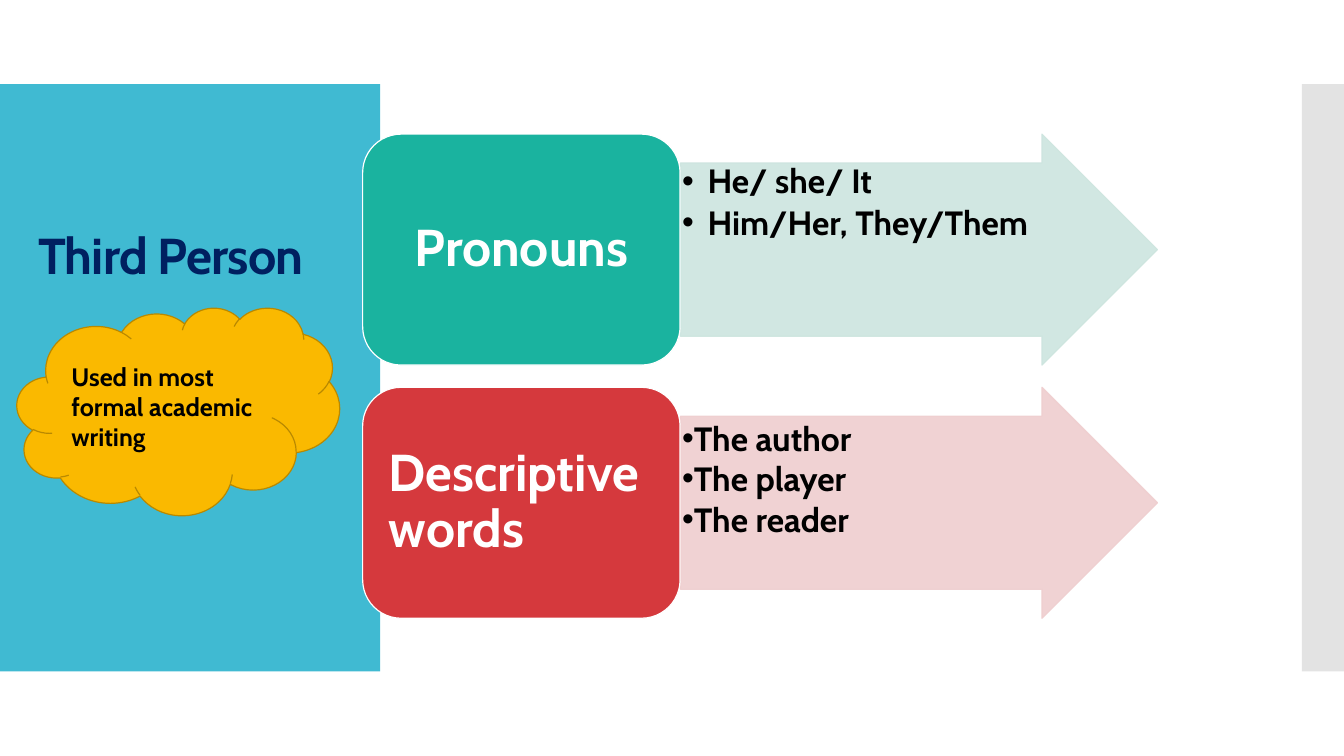
from dataclasses import dataclass

from lxml.etree import SubElement
from pptx import Presentation
from pptx.dml.color import RGBColor
from pptx.enum.shapes import MSO_SHAPE as Preset
from pptx.enum.text import MSO_ANCHOR as Anchor, MSO_AUTO_SIZE as AutoSize, PP_ALIGN as Align
from pptx.oxml import parse_xml
from pptx.oxml.ns import nsdecls, qn
from pptx.util import Cm, Pt


@dataclass(frozen=True)
class Theme:
    font: str = "Cabin"
    panel: str = "40BAD2"
    strip: str = "C8C8C8"
    title: str = "002060"
    light: str = "FFFFFF"
    dark: str = "000000"
    pronouns: str = "1AB39F"
    pronouns_tint: str = "CDE5DF"
    descriptive: str = "D5393D"
    descriptive_tint: str = "EFCECF"
    cloud: str = "FAB900"
    cloud_line: str = "B98900"
    title_size: int = 36
    label_size: int = 37
    list_size: int = 24
    cloud_size: int = 18
    line_width: float = 0.85


THEME = Theme()
ROW_TOP = 3.38
ROW_PITCH = 6.38
ROW_HEIGHT = 5.82


def set_opacity(color_format, percent):
    color = color_format._xFill.find(qn("a:srgbClr"))
    SubElement(color, qn("a:alpha"), val=str(percent * 1000))


def add_block(slide, preset, box, fill, line=None, opacity=100):
    shape = slide.shapes.add_shape(preset, *map(Cm, box))
    shape.shadow.inherit = False
    shape.fill.solid()
    shape.fill.fore_color.rgb = RGBColor.from_string(fill)
    formats = [shape.fill]
    if line:
        shape.line.color.rgb = RGBColor.from_string(line)
        shape.line.width = Pt(THEME.line_width)
        formats.append(shape.line.fill)
    else:
        shape.line.fill.background()
    if opacity < 100:
        for color_format in formats:
            set_opacity(color_format.fore_color, opacity)
    return shape


def write_text(shape, lines, size, color, align=Align.LEFT, anchor=Anchor.MIDDLE,
               insets=(0.25, 0.13), spacing=1.0, space_after=0):
    frame = shape.text_frame
    frame.text = "\n".join(lines)
    frame.word_wrap = True
    frame.auto_size = AutoSize.NONE
    frame.vertical_anchor = anchor
    frame.margin_left = frame.margin_right = Cm(insets[0])
    frame.margin_top = frame.margin_bottom = Cm(insets[1])
    for paragraph in frame.paragraphs:
        paragraph.alignment = align
        paragraph.line_spacing = spacing
        paragraph.space_before = Pt(0)
        paragraph.space_after = Pt(space_after)
        paragraph.font.name = THEME.font
        paragraph.font.size = Pt(size)
        paragraph.font.bold = True
        paragraph.font.color.rgb = RGBColor.from_string(color)
    return frame.paragraphs


def place(placeholder, box):
    placeholder.left, placeholder.top, placeholder.width, placeholder.height = map(Cm, box)
    placeholder.element.getparent().append(placeholder.element)


def set_bullet(paragraph, indent):
    properties = paragraph._p.get_or_add_pPr()
    properties.set("marL", str(Cm(indent)))
    properties.set("indent", str(-Cm(indent)))
    bullet = parse_xml(f'<a:buChar {nsdecls("a")} char="•"/>')
    properties.find(qn("a:defRPr")).addprevious(bullet)


def add_title(slide, text):
    title = slide.shapes.title
    place(title, (0.71, 3.12, 8.18, 6.78))
    paragraph = write_text(title, [text], THEME.title_size, THEME.title, spacing=0.9)[0]
    paragraph._p.pPr.find(qn("a:defRPr")).set("spc", "-60")


def add_row(slide, index, label, items, fill, tint, align, indent, spacing, space_after):
    top = ROW_TOP + index * ROW_PITCH
    arrow = add_block(slide, Preset.RIGHT_ARROW, (17.15, top, 12.02, ROW_HEIGHT), tint, tint, 90)
    arrow.adjustments[0] = 0.75
    arrow.adjustments[1] = 0.5
    body = slide.placeholders[index + 1]
    place(body, (17.15, top + 0.73, 9.83, 4.35))
    for paragraph in write_text(body, items, THEME.list_size, THEME.dark, anchor=Anchor.TOP,
                                insets=(0.04, 0.04), spacing=spacing, space_after=space_after):
        set_bullet(paragraph, indent)
    box = add_block(slide, Preset.ROUNDED_RECTANGLE, (9.14, top, 8, ROW_HEIGHT), fill, THEME.light)
    write_text(box, [label], THEME.label_size, THEME.light, align, insets=(0.38, 0.2), spacing=0.9)


def add_cloud(slide, text):
    cloud = add_block(slide, Preset.CLOUD, (0.43, 7.75, 8.13, 5.23), THEME.cloud, THEME.cloud_line)
    write_text(cloud, [text], THEME.cloud_size, THEME.dark)


def main():
    presentation = Presentation()
    presentation.slide_width = Cm(33.87)
    presentation.slide_height = Cm(19.05)
    slide = presentation.slides.add_slide(presentation.slide_layouts.get_by_name("Two Content"))
    add_block(slide, Preset.RECTANGLE, (0, 2.12, 9.58, 14.8), THEME.panel)
    add_block(slide, Preset.RECTANGLE, (32.81, 2.12, 1.06, 14.8), THEME.strip, opacity=50)
    add_title(slide, "Third Person")
    add_row(slide, 0, "Pronouns", ["He/ she/ It", "Him/Her, They/Them"],
            THEME.pronouns, THEME.pronouns_tint, Align.CENTER, 0.64, 0.9, 3.6)
    add_row(slide, 1, "Descriptive words", ["The author", "The player", "The reader"],
            THEME.descriptive, THEME.descriptive_tint, Align.LEFT, 0, 1.0, 0)
    add_cloud(slide, "Used in most formal academic writing")
    presentation.save("out.pptx")


if __name__ == "__main__":
    main()
